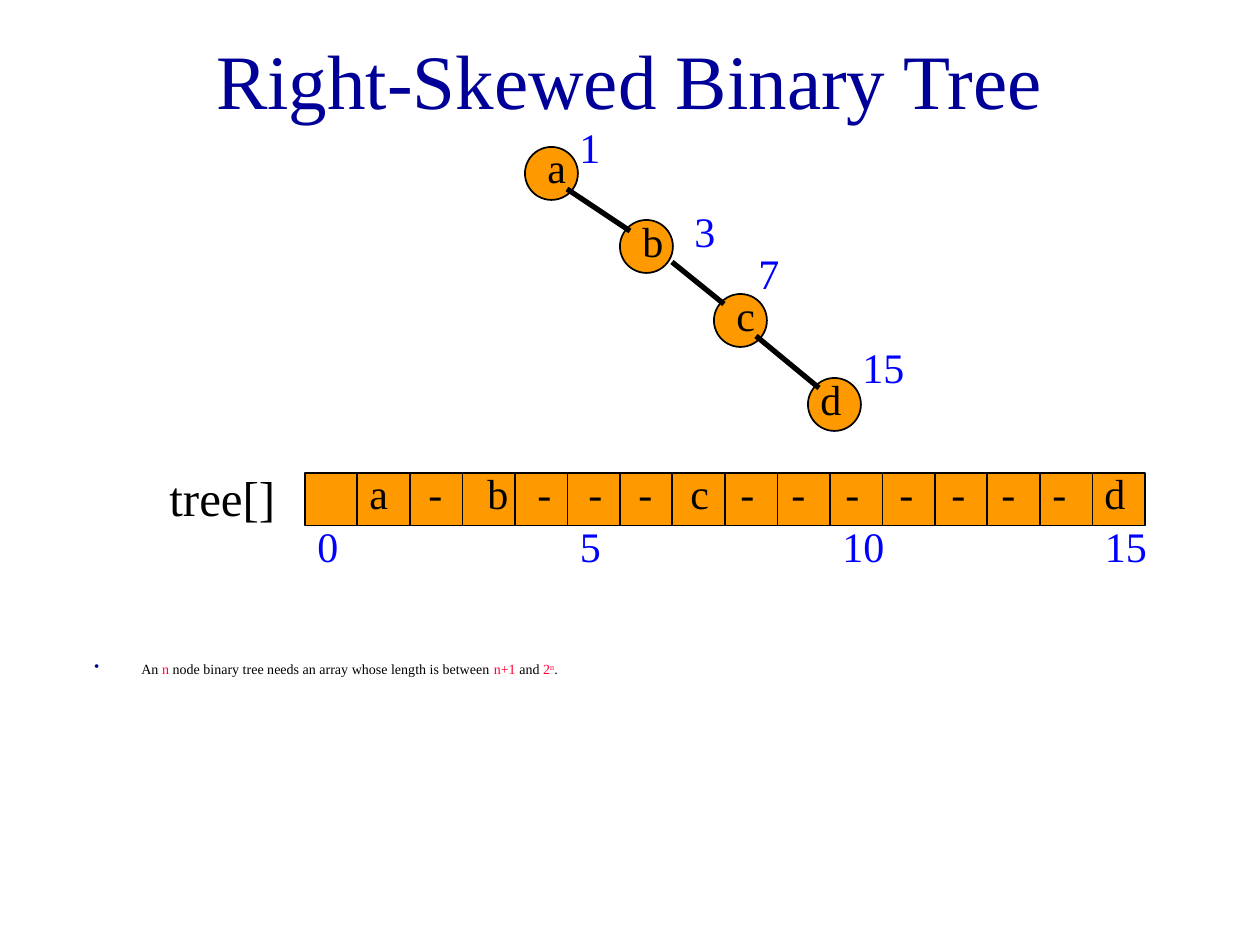
import pptx
import pptx.util
import pptx.dml.color
import pptx.enum.shapes
import pptx.enum.text
import pptx.oxml
import pptx.oxml.ns

COLORS = {"title": "000099", "black": "000000", "index": "0000FF",
          "accent": "FF0033", "fill": "FF9900"}
FONT = "Times New Roman"
PIXEL = 914400 / 126

TITLE = "Right-Skewed Binary Tree"
NOTE = [("An ", "black", False), ("n", "accent", False),
        (" node binary tree needs an array whose length is between ", "black", False),
        ("n+1", "accent", False), (" and ", "black", False),
        ("2", "accent", False), ("n", "accent", True), (".", "black", False)]
NODES = [
    {"name": "a", "circle": (525, 147), "name_at": (535, 136), "index": "1", "index_at": (567, 116)},
    {"name": "b", "circle": (620, 220), "name_at": (630, 210), "index": "3", "index_at": (682, 200)},
    {"name": "c", "circle": (714, 294), "name_at": (724, 284), "index": "7", "index_at": (746, 242)},
    {"name": "d", "circle": (808, 378), "name_at": (808, 368), "index": "15", "index_at": (850, 336)},
]
EDGES = [(567, 189, 630, 231), (672, 262, 724, 304), (756, 336, 819, 388)]
ENTRIES = [("a", 357), ("-", 416), ("b", 475), ("-", 525), ("-", 576),
           ("-", 626), ("c", 678), ("-", 728), ("-", 779), ("-", 833),
           ("-", 887), ("-", 939), ("-", 989), ("-", 1040), ("d", 1092)]
MARKED = [0, 5, 10, 15]
ROW_LEFT, ROW_TOP, ROW_WIDTH, CELL_COUNT = 305, 473, 840, 16
CELL = ROW_WIDTH / CELL_COUNT
NODE_SIZE = 53
LABEL_HEIGHT = 63


def px(value):
    return pptx.util.Emu(round(value * PIXEL))


def rgb(name):
    return pptx.dml.color.RGBColor.from_string(COLORS[name])


def add_text(content, left, top, width, height=LABEL_HEIGHT, size=24, color="black",
             align="LEFT", anchor="TOP", margin=6, line_spacing=None):
    box = slide.shapes.add_textbox(px(left), px(top), px(width), px(height))
    frame = box.text_frame
    frame.word_wrap = True
    frame.vertical_anchor = getattr(pptx.enum.text.MSO_ANCHOR, anchor)
    frame.margin_top = frame.margin_bottom = px(margin)
    para = frame.paragraphs[0]
    para.alignment = getattr(pptx.enum.text.PP_ALIGN, align)
    para.line_spacing = line_spacing
    spans = [(content, color, False)] if isinstance(content, str) else content
    for words, span_color, raised in spans:
        span = para.add_run()
        span.text = words
        span.font.name = FONT
        span.font.size = pptx.util.Pt(size)
        span.font.color.rgb = rgb(span_color)
        if raised:
            span.font._element.set("baseline", "30000")
    return para


def add_bullet(para, color, indent):
    properties = para._p.get_or_add_pPr()
    properties.set("marL", str(px(indent)))
    properties.set("indent", str(-px(indent)))
    namespace = pptx.oxml.ns.nsdecls("a")
    for markup in (f'<a:buClr {namespace}><a:srgbClr val="{COLORS[color]}"/></a:buClr>',
                   f'<a:buChar {namespace} char="•"/>'):
        properties.append(pptx.oxml.parse_xml(markup))


def add_block(kind, left, top, size):
    preset = getattr(pptx.enum.shapes.MSO_SHAPE, kind)
    shape = slide.shapes.add_shape(preset, px(left), px(top), px(size), px(size))
    shape.shadow.inherit = False
    shape.fill.solid()
    shape.fill.fore_color.rgb = rgb("fill")
    shape.line.color.rgb = rgb("black")
    shape.line.width = pptx.util.Pt(1)


def add_edge(*ends):
    edge = slide.shapes.add_connector(pptx.enum.shapes.MSO_CONNECTOR.STRAIGHT, *map(px, ends))
    edge.line.color.rgb = rgb("black")
    edge.line.width = pptx.util.Pt(3)
    edge._element.spPr.append(
        pptx.oxml.parse_xml(f'<a:effectLst {pptx.oxml.ns.nsdecls("a")}/>'))


deck = pptx.Presentation()
deck.slide_width, deck.slide_height = px(1260), px(945)
slide = deck.slides.add_slide(deck.slide_layouts[6])

add_text(TITLE, 94, 21, 1071, 116, size=44, color="title", align="CENTER", anchor="MIDDLE")
note = add_text(NOTE, 82, 661, 1071, 10, size=8, margin=4, line_spacing=0.7)
note.space_before = pptx.util.Pt(8)
add_bullet(note, "title", 47)

for node in NODES:
    add_block("OVAL", *node["circle"], NODE_SIZE)
    add_text(node["name"], *node["name_at"], NODE_SIZE)
    add_text(node["index"], *node["index_at"], 84, color="index")
for edge_ends in EDGES:
    add_edge(*edge_ends)

add_text("tree[]", 157, 462, 157, 71, size=28)
for position in range(CELL_COUNT):
    add_block("RECTANGLE", ROW_LEFT + position * CELL, ROW_TOP, CELL)
for entry, entry_left in ENTRIES:
    add_text(entry, entry_left, 462, 45)
for position in MARKED:
    add_text(str(position), ROW_LEFT + position * CELL, 515, 84, color="index")

deck.save("out.pptx")
